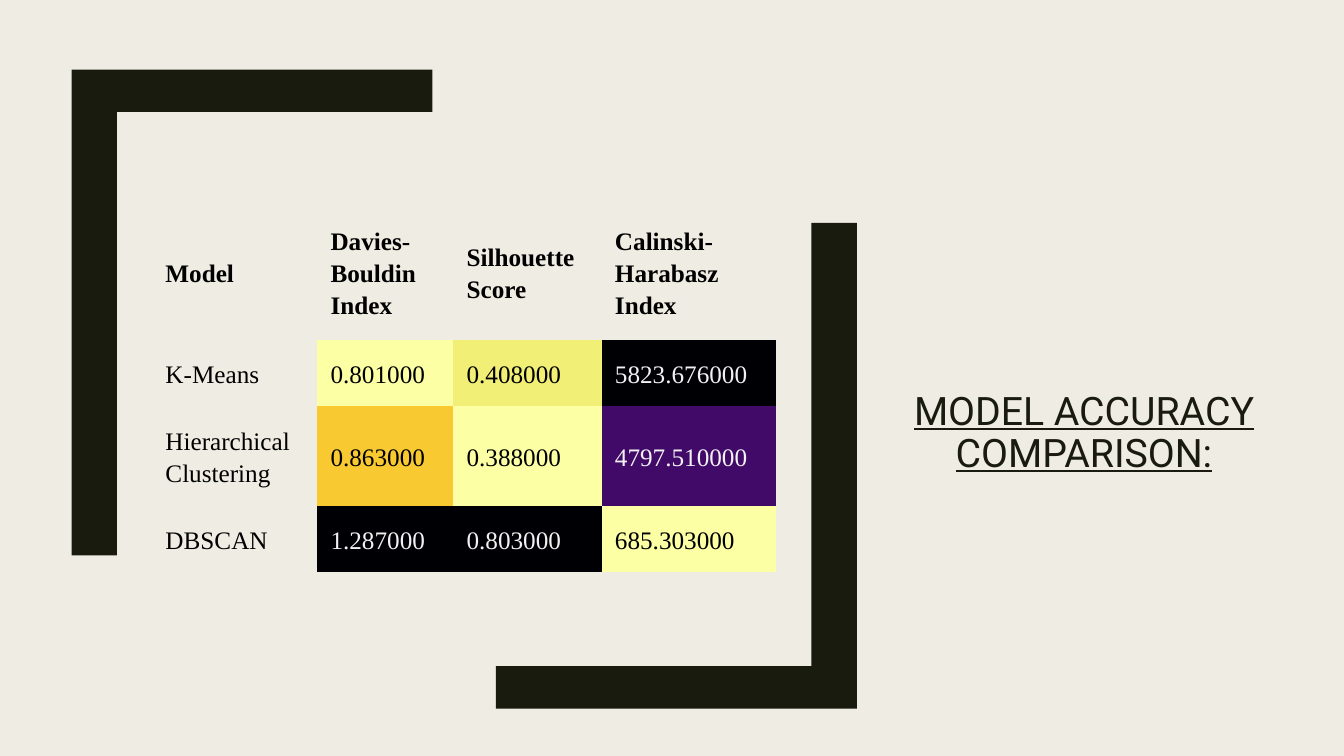
import pptx
import pptx.dml.color
import pptx.enum.text
import pptx.util
from dataclasses import dataclass

Pt = pptx.util.Pt
ALIGN = pptx.enum.text.PP_ALIGN
ANCHOR = pptx.enum.text.MSO_ANCHOR
NO_GRID_STYLE = "{2D5ABB26-0587-4C30-8999-92F81FD0307C}"


@dataclass
class Theme:
    paper: str = "EFEDE3"
    ink: str = "191B0E"
    dark_text: str = "000000"
    light_text: str = "F1F1F1"
    black: str = "000004"
    purple: str = "420A68"
    amber: str = "F9C932"
    straw: str = "F1EF75"
    cream: str = "FCFFA4"
    title_font: str = "Roboto"
    table_font: str = "Times New Roman"
    title_size: float = 28
    table_size: float = 18


def apply(target, formats):
    for name, value in formats.items():
        setattr(target, name, value)


def paint(fill, color):
    fill.solid()
    fill.fore_color.rgb = pptx.dml.color.RGBColor.from_string(color)


class SlideBuilder:
    def __init__(self, slide, theme):
        self.slide = slide
        self.theme = theme
        paint(slide.background.fill, theme.paper)

    def add_words(self, frame, text, color, font, paragraph):
        line = frame.paragraphs[0]
        apply(line, paragraph)
        run = line.add_run()
        run.text = text
        apply(run.font, font)
        paint(run.font.fill, color)

    def bracket(self, corner_x, corner_y, direction):
        """An L-shaped bracket; direction -1 turns it by 180 degrees."""
        width, height, upright, bar = 257.8, 347, 32.4, 30.3
        outline = [(0, 0), (width, 0), (width, bar), (upright, bar),
                   (upright, height), (0, height)]
        points = [(Pt(corner_x + direction * x), Pt(corner_y + direction * y))
                  for x, y in outline]
        builder = self.slide.shapes.build_freeform(*points[0], scale=1.0)
        builder.add_line_segments(points[1:], close=True)
        shape = builder.convert_to_shape()
        shape.shadow.inherit = False
        paint(shape.fill, self.theme.ink)
        shape.line.fill.background()

    def title(self, text, left, top, width, height):
        box = self.slide.shapes.add_textbox(Pt(left), Pt(top), Pt(width), Pt(height))
        apply(box.text_frame, {"word_wrap": True, "vertical_anchor": ANCHOR.BOTTOM})
        self.add_words(box.text_frame, text, self.theme.ink,
                       {"name": self.theme.title_font, "size": Pt(self.theme.title_size),
                        "underline": True},
                       {"alignment": ALIGN.CENTER, "line_spacing": 0.89,
                        "space_after": Pt(6)})

    def table(self, rows, fills, left, top, widths, heights):
        frame = self.slide.shapes.add_table(
            len(rows), len(widths), Pt(left), Pt(top), Pt(sum(widths)), Pt(sum(heights)))
        scores = frame.table
        apply(scores, {"first_row": False, "horz_banding": False})
        for style in frame.element.xpath(".//a:tableStyleId"):
            style.text = NO_GRID_STYLE
        for column, width in zip(scores.columns, widths):
            column.width = Pt(width)
        for row, height in zip(scores.rows, heights):
            row.height = Pt(height)
        for r, row in enumerate(rows):
            for c, text in enumerate(row):
                self.cell(scores.cell(r, c), text, fills[r][c], bold=r == 0)

    def cell(self, cell, text, fill, bold):
        theme = self.theme
        margins = ("margin_left", "margin_right", "margin_top", "margin_bottom")
        apply(cell, {"vertical_anchor": ANCHOR.MIDDLE, **dict.fromkeys(margins, Pt(9.5))})
        if fill:
            paint(cell.fill, fill)
        else:
            cell.fill.background()
        on_dark = fill in (theme.black, theme.purple)
        self.add_words(cell.text_frame, text,
                       theme.light_text if on_dark else theme.dark_text,
                       {"name": theme.table_font, "size": Pt(theme.table_size),
                        "bold": bold},
                       {"alignment": ALIGN.JUSTIFY, "line_spacing": 1.15})


def main():
    deck = pptx.Presentation()
    apply(deck, {"slide_width": Pt(960), "slide_height": Pt(540)})
    theme = Theme()
    page = SlideBuilder(deck.slides.add_slide(deck.slide_layouts[6]), theme)

    # Title
    page.title("MODEL ACCURACY COMPARISON:", 642.2, 262.8, 264.2, 80.6)

    # Brackets around the table
    page.bracket(51.1, 49.7, 1)
    page.bracket(612, 506.2, -1)

    # Scores, shaded as a heat map
    rows = [
        ("Model", "Davies-Bouldin Index", "Silhouette Score", "Calinski-Harabasz Index"),
        ("K-Means", "0.801000", "0.408000", "5823.676000"),
        ("Hierarchical Clustering", "0.863000", "0.388000", "4797.510000"),
        ("DBSCAN", "1.287000", "0.803000", "685.303000"),
    ]
    fills = [
        (None, None, None, None),
        (None, theme.cream, theme.straw, theme.black),
        (None, theme.amber, theme.cream, theme.purple),
        (None, theme.black, theme.black, theme.cream),
    ]
    page.table(rows, fills, 108.7, 146.2,
               widths=(117.9, 97.2, 106, 124.2), heights=(96.5, 47, 72, 47))

    deck.save("out.pptx")


if __name__ == "__main__":
    main()
